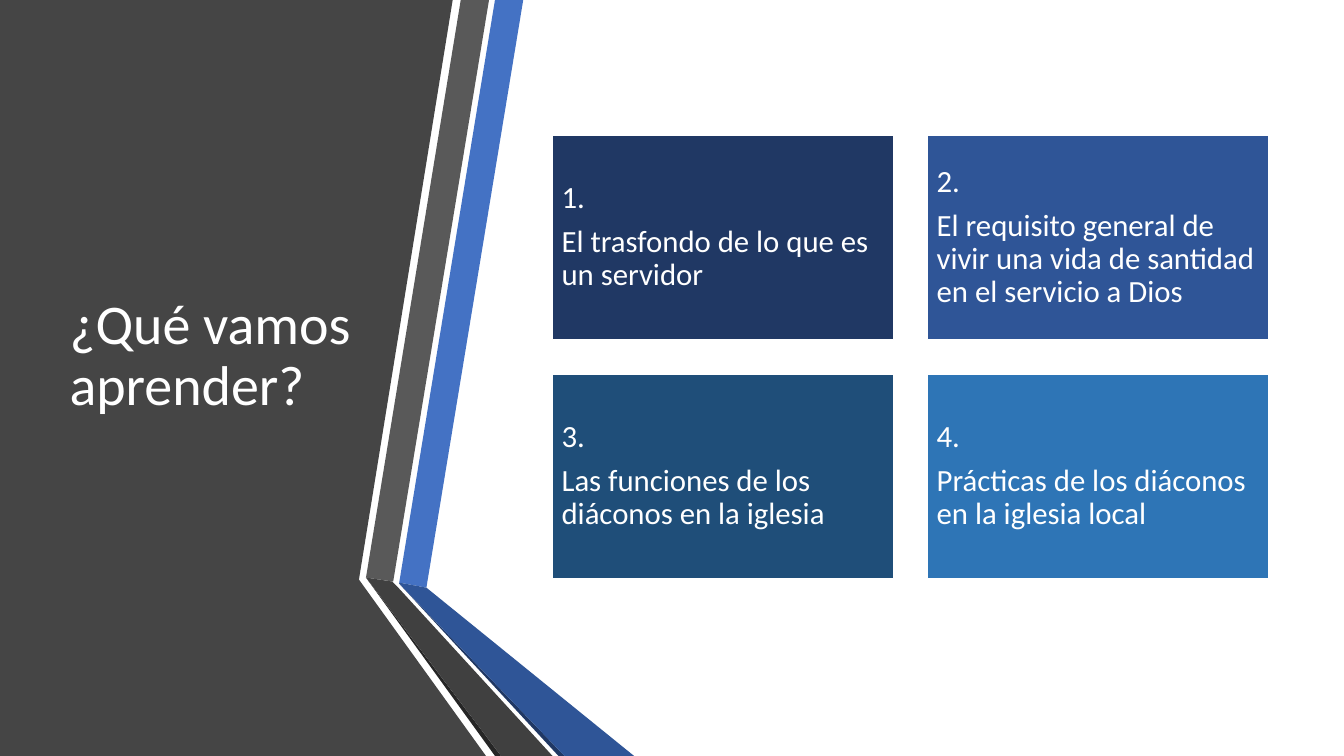
from pptx import Presentation
from pptx import util as u
from pptx.dml.color import RGBColor
from pptx.enum import shapes, text

COLORS = {
    "white": "FFFFFF", "panel": "454545",
    "gray": "595959", "gray_dark": "404040", "gray_edge": "262626",
    "blue": "4472C4", "blue_dark": "2F5597", "navy": "203864",
    "teal": "1F4E79", "sky": "2E75B6",
}
FONT = "Calibri"

# Outlines in inches from the top left of the decoration, back to front
BANDS = [
    ("panel", [(0, 0), (4.49, 0), (3.56, 5.75), (4.82, 7.5), (0, 7.5)]),
    ("blue", [(3.96, 5.78), (4.23, 5.83), (5.19, 0), (4.91, 0)]),
    ("gray", [(4.85, 0), (4.57, 0), (3.63, 5.73), (3.9, 5.77)]),
    ("gray_edge", [(3.63, 5.73), (4.91, 7.5), (4.97, 7.5)]),
    ("navy", [(3.96, 5.79), (5.54, 7.5), (5.6, 7.5)]),
    ("blue_dark", [(3.96, 5.79), (5.6, 7.5), (6.29, 7.5), (4.23, 5.83), (3.96, 5.78)]),
    ("gray_dark", [(5.48, 7.5), (3.95, 5.83), (3.89, 5.77), (3.63, 5.73), (4.97, 7.5)]),
]
TOPICS = [
    ("navy", "El trasfondo de lo que es un servidor"),
    ("blue_dark", "El requisito general de vivir una vida de santidad en el servicio a Dios"),
    ("teal", "Las funciones de los diáconos en la iglesia"),
    ("sky", "Prácticas de los diáconos en la iglesia local"),
]


def set_all(target, values):
    for name, value in values.items():
        setattr(target, name, value)


def color(name):
    return RGBColor.from_string(COLORS[name])


def fill_shape(shape, fill_name):
    shape.shadow.inherit = False
    shape.fill.solid()
    shape.fill.fore_color.rgb = color(fill_name)


def write(shape, lines, size, space_after=0):
    """Fill a shape with white, left-aligned, vertically centred paragraphs."""
    frame = shape.text_frame
    frame.text = "\n".join(lines)
    set_all(frame, {"word_wrap": True, "auto_size": text.MSO_AUTO_SIZE.NONE,
                    "vertical_anchor": text.MSO_ANCHOR.MIDDLE})
    for paragraph in frame.paragraphs:
        set_all(paragraph, {"alignment": text.PP_ALIGN.LEFT, "line_spacing": 0.9,
                            "space_before": u.Pt(0), "space_after": u.Pt(space_after)})
        for run in paragraph.runs:
            set_all(run.font, {"name": FONT, "size": u.Pt(size)})
            run.font.color.rgb = color("white")


def add_decoration(slide, left, top):
    """Dark side panel with the bent gray and blue bands."""
    for fill_name, outline in BANDS:
        points = [(u.Inches(left + x), u.Inches(top + y)) for x, y in outline]
        builder = slide.shapes.build_freeform(*points[0])
        builder.add_line_segments(points[1:], close=True)
        band = builder.convert_to_shape()
        fill_shape(band, fill_name)
        band.line.fill.background()


def add_title(slide, left, top, width, height):
    title = slide.shapes.title
    set_all(title, {"left": u.Inches(left), "top": u.Inches(top),
                    "width": u.Inches(width), "height": u.Inches(height)})
    write(title, ["¿Qué vamos aprender?"], 40)
    # Bring the title in front of the panel
    slide.shapes._spTree.append(title._element)


def add_topic_grid(slide, left, top, width, height, gap=0.34, columns=2):
    """Numbered topic cards with equal gaps."""
    rows = len(TOPICS) // columns
    card_width = (width - gap * (columns - 1)) / columns
    card_height = (height - gap * (rows - 1)) / rows
    for index, (fill_name, topic) in enumerate(TOPICS):
        row, column = divmod(index, columns)
        card = slide.shapes.add_shape(
            shapes.MSO_SHAPE.RECTANGLE,
            u.Inches(left + column * (card_width + gap)),
            u.Inches(top + row * (card_height + gap)),
            u.Inches(card_width), u.Inches(card_height))
        fill_shape(card, fill_name)
        card.line.color.rgb = color("white")
        card.line.width = u.Pt(1)
        margins = ("margin_left", "margin_top", "margin_right", "margin_bottom")
        set_all(card.text_frame, dict.fromkeys(margins, u.Inches(0.09)))
        write(card, [f"{index + 1}.", topic], 22, space_after=7.7)


presentation = Presentation()
set_all(presentation, {"slide_width": u.Inches(13.33), "slide_height": u.Inches(7.5)})
slide = presentation.slides.add_slide(presentation.slide_layouts[5])  # Title Only
add_decoration(slide, 0, 0)
add_title(slide, 0.59, 0.75, 3.04, 5.58)
add_topic_grid(slide, 5.48, 1.34, 7.1, 4.4)
presentation.save("out.pptx")
